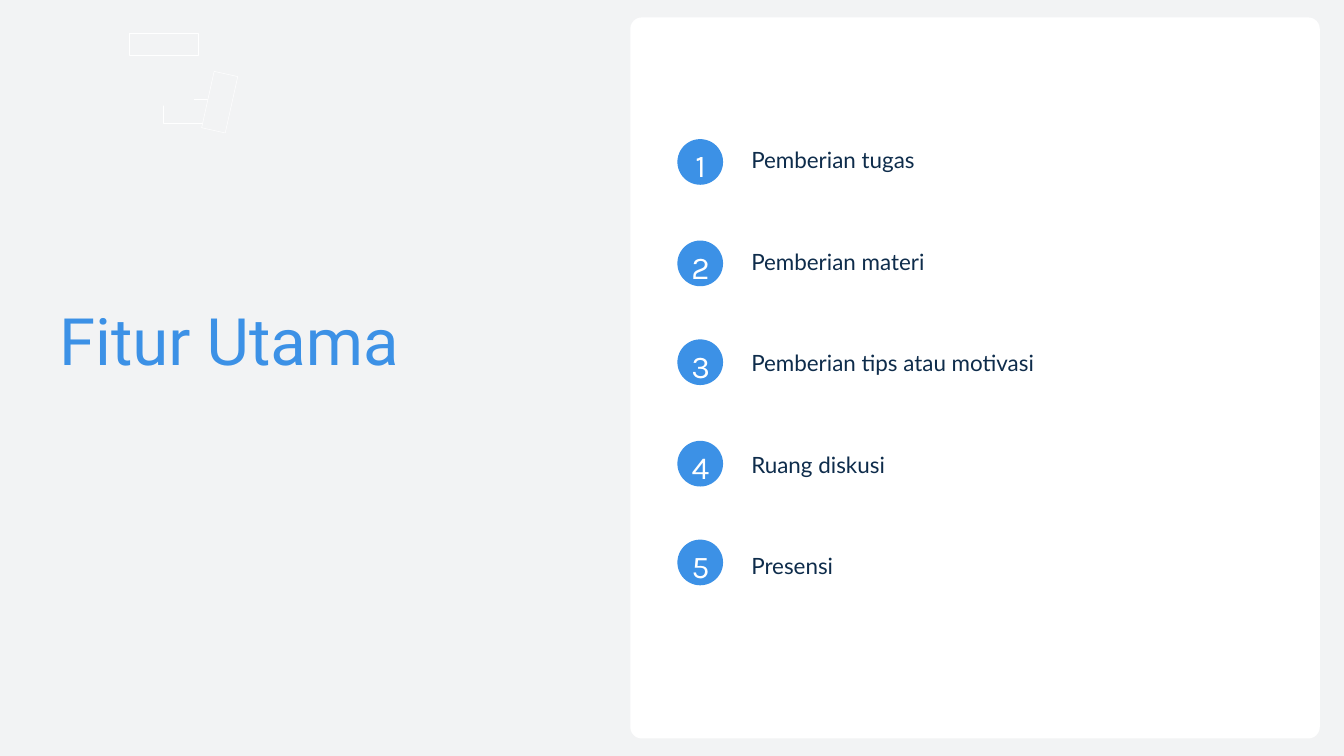
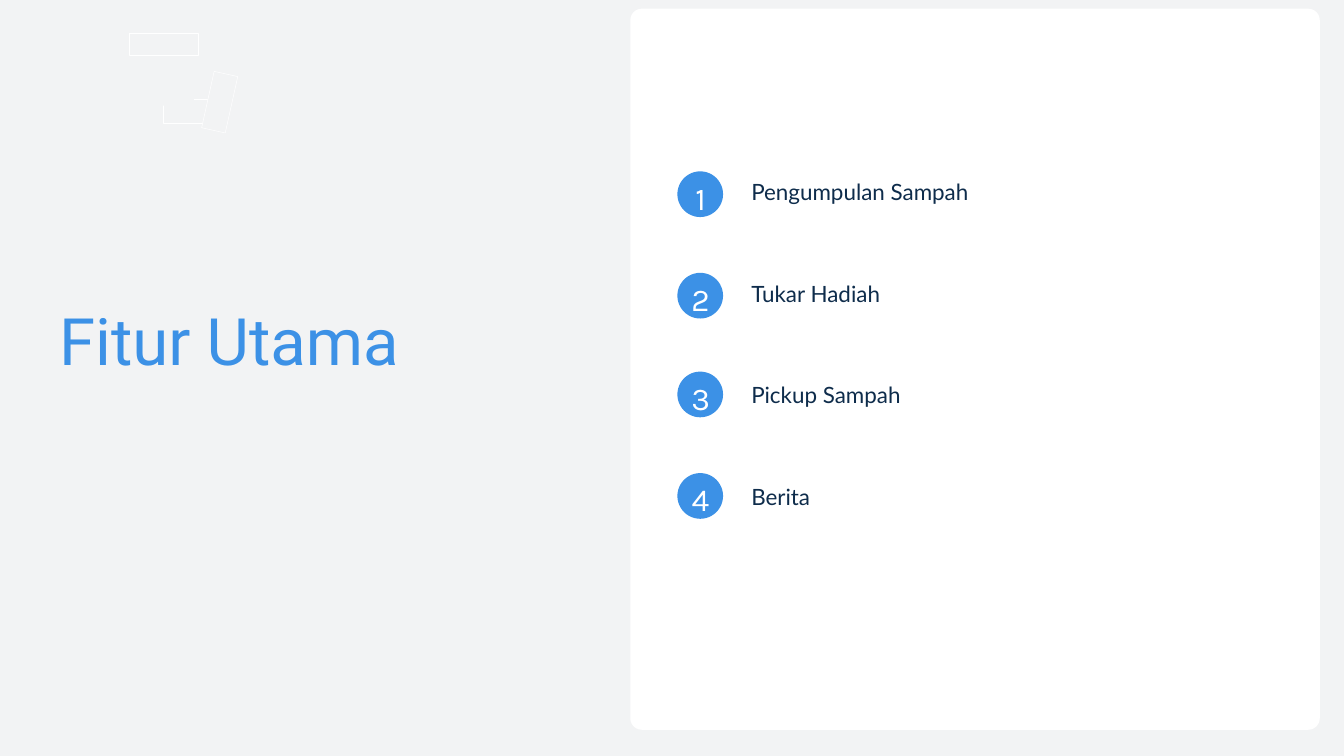
from pptx import Presentation
from pptx.dml.color import RGBColor
from pptx.enum.shapes import MSO_SHAPE
from pptx.enum.text import MSO_ANCHOR, MSO_AUTO_SIZE, PP_ALIGN
from pptx.util import Inches, Pt

BLUE = RGBColor(0x3C, 0x91, 0xE6)
NAVY = RGBColor(0x0E, 0x2C, 0x4B)
PALE = RGBColor(0xF2, 0xF3, 0xF4)
WHITE = RGBColor(0xFF, 0xFF, 0xFF)

TITLE = "Fitur Utama"
LINE = 1.4  # line height as a multiple of the text size
STEP = 1.51  # from one label to the next
PAIR = 2.98  # from one badge to the next but one
BADGE = 0.68
RADIUS = 0.17

# Top of the panel, top of the list inside it, labels
SLIDES = [
    (0.26, 1.81, ["Pemberian tugas", "Pemberian materi",
                  "Pemberian tips atau motivasi", "Ruang diskusi", "Presensi"]),
    (0.13, 2.42, ["Pengumpulan Sampah", "Tukar Hadiah",
                  "Pickup Sampah", "Berita"]),
]

# Left, top, width, height, turn, edge
FRAMES = [
    (2.43, 1.47, 0.86, 0.36, 0, WHITE),
    (1.93, 0.49, 1.02, 0.33, 0, WHITE),
    (2.84, 1.34, 0.86, 0.36, 282.5, WHITE),
    (0.89, 1.2, 1.99, 0.36, 0, PALE),
]


def add_form(shapes, kind, box, fill, edge=None):
    form = shapes.add_shape(kind, *map(Inches, box))
    form.shadow.inherit = False
    form.fill.solid()
    form.fill.fore_color.rgb = fill
    if edge is None:
        form.line.fill.background()
    else:
        form.line.color.rgb = edge
        form.line.width = Pt(0.5)
    return form


def set_text(shape, text, font, size, color, align=PP_ALIGN.LEFT, ratio=LINE):
    frame = shape.text_frame
    frame.word_wrap = True
    frame.auto_size = MSO_AUTO_SIZE.SHAPE_TO_FIT_TEXT
    frame.vertical_anchor = MSO_ANCHOR.TOP
    frame.margin_left = frame.margin_right = 0
    frame.margin_top = frame.margin_bottom = 0
    para = frame.paragraphs[0]
    para.alignment = align
    para.line_spacing = Pt(size * ratio)
    run = para.add_run()
    run.text = text
    run.font.name = font
    run.font.size = Pt(size)
    run.font.color.rgb = color


def add_text(shapes, box, *style):
    set_text(shapes.add_textbox(*map(Inches, box)), *style)


def add_title(slide, left, top, width, height):
    title = slide.shapes.title
    title.left, title.top = Inches(left), Inches(top)
    title.width, title.height = Inches(width), Inches(height)
    set_text(title, TITLE, "Roboto", 70, BLUE, PP_ALIGN.LEFT, 1.2)


def add_badge(shapes, left, top, number):
    add_form(shapes, MSO_SHAPE.OVAL, (left, top, BADGE, BADGE), BLUE)
    add_text(shapes, (left + 0.21, top + 0.01, 0.27, 0.62),
             str(number), "Karla", 34, WHITE, PP_ALIGN.CENTER)


def add_list(slide, left, top, labels):
    """Stack the labels evenly; badges follow in pairs of rows."""
    shapes = slide.shapes.add_group_shape().shapes
    for row, label in enumerate(labels):
        add_text(shapes, (left + 1.1, top + 0.04 + row * STEP, 7.5, 0.43),
                 label, "Lato", 24, NAVY)
    for row in range(len(labels)):
        pair, odd = divmod(row, 2)
        add_badge(shapes, left, top + pair * PAIR + odd * STEP, row + 1)


def add_panel(slide, left, top, width, height, inset, labels):
    panel = add_form(slide.shapes, MSO_SHAPE.ROUNDED_RECTANGLE,
                     (left, top, width, height), WHITE)
    panel.adjustments[0] = RADIUS / min(width, height)
    add_list(slide, left + 0.7, top + inset, labels)


def add_frames(slide):
    """Draw the faint outlines in the top left corner."""
    for *box, turn, edge in FRAMES:
        add_form(slide.shapes, MSO_SHAPE.RECTANGLE, box, PALE, edge).rotation = turn


def main():
    deck = Presentation()
    deck.slide_width, deck.slide_height = Inches(20), Inches(11.25)
    back = deck.slide_master.background.fill
    back.solid()
    back.fore_color.rgb = PALE
    for top, inset, labels in SLIDES:
        slide = deck.slides.add_slide(deck.slide_layouts[5])
        add_panel(slide, 9.38, top, 10.26, 10.73, inset, labels)
        add_frames(slide)
        add_title(slide, 0.88, 4.47, 6.75, 1.16)
    deck.save("out.pptx")


if __name__ == "__main__":
    main()
